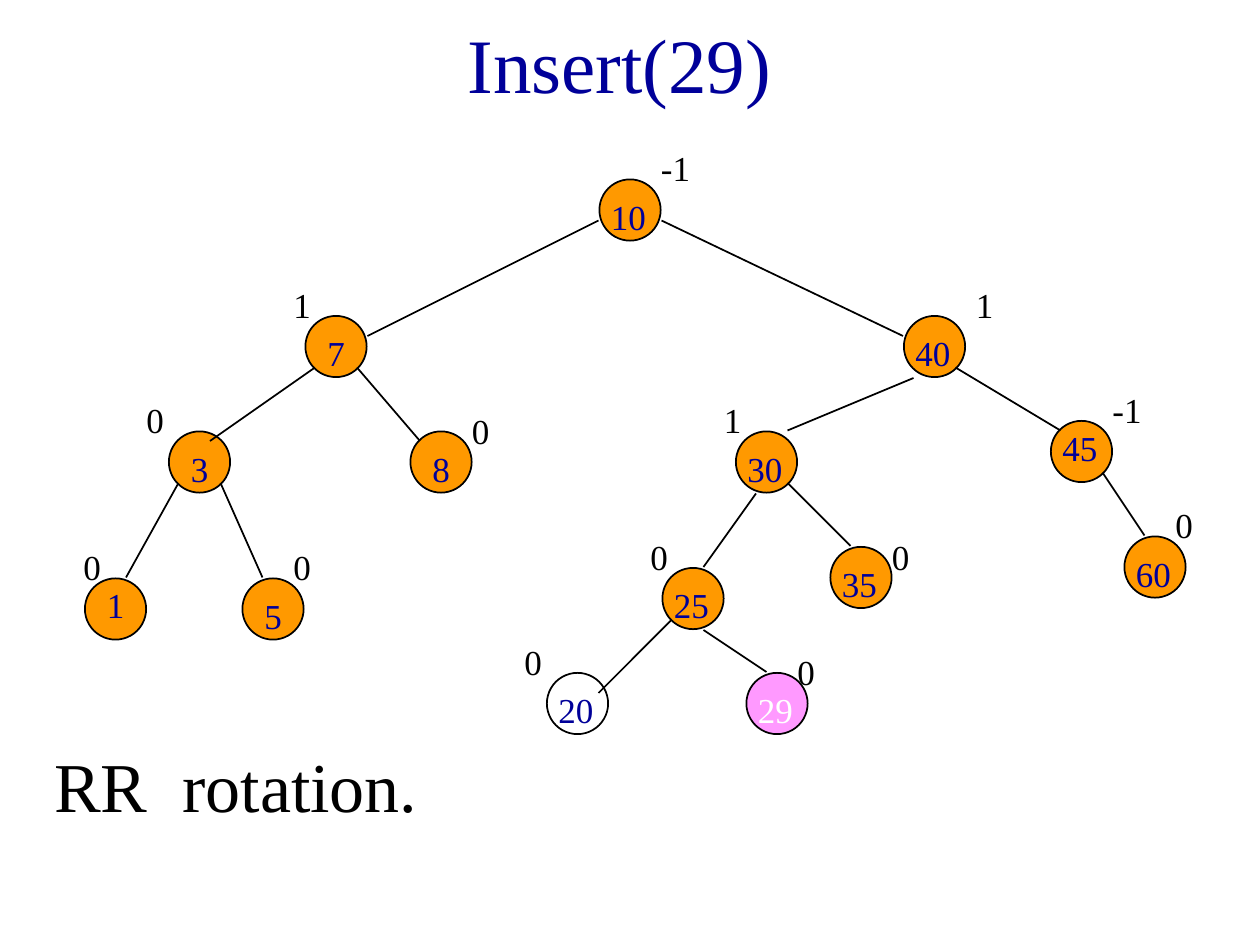
from lxml import etree
from pptx import Presentation
from pptx.dml.color import RGBColor
from pptx.enum import shapes, text
from pptx.oxml.ns import qn
from pptx.util import Pt

FONT = "Times New Roman"
NAVY, BLACK, WHITE = "000099", "000000", "FFFFFF"
ORANGE, PINK = "FF9900", "FF99FF"
STEP = 6
DIAMETER = 35

# key: column, row, balance factor, factor offset in steps, label drop in steps
NODES = {
    "10": (49, 0, "-1", (5, -4), 1),
    "7": (21, 13, "1", (-2, -4), 1),
    "40": (78, 13, "1", (6, -4), 1),
    "3": (8, 24, "0", (-3, -4), 1),
    "8": (31, 24, "0", (5, -3), 1),
    "30": (62, 24, "1", (-2, -4), 1),
    "45": (92, 23, "-1", (5, -4), 0),
    "1": (0, 38, "0", (-1, -4), 0),
    "5": (15, 38, "0", (4, -4), 1),
    "25": (55, 37, "0", (-2, -4), 1),
    "35": (71, 35, "0", (5, -2), 1),
    "60": (99, 34, "0", (4, -4), 1),
    "20": (44, 47, "0", (-3, -4), 1),
    "29": (63, 47, "0", (4, -3), 1),
}
NODE_FILLS = {"20": WHITE, "29": PINK}
NODE_TEXT = {"29": WHITE}

EDGES = [
    (49, 4, 27, 15), (55, 4, 78, 15),
    (22, 18, 12, 25), (26, 18, 32, 25),
    (79, 19, 67, 24), (83, 18, 93, 24),
    (9, 29, 4, 38), (13, 29, 17, 38),
    (64, 30, 59, 37), (67, 29, 73, 35),
    (97, 28, 101, 34),
    (56, 42, 49, 49), (59, 43, 65, 47),
]


def color(value):
    return RGBColor.from_string(value)


def write(frame, words, size=20, fill=BLACK, wrap=True,
          align=text.PP_ALIGN.LEFT, anchor=text.MSO_ANCHOR.TOP):
    frame.word_wrap = wrap
    frame.auto_size = text.MSO_AUTO_SIZE.NONE
    frame.vertical_anchor = anchor
    paragraph = frame.paragraphs[0]
    paragraph.alignment = align
    run = paragraph.add_run()
    run.text = words
    run.font.name = FONT
    run.font.size = Pt(size)
    run.font.color.rgb = color(fill)


def add_text(slide, box, words, **style):
    shape = slide.shapes.add_textbox(*map(Pt, box))
    write(shape.text_frame, words, **style)


def add_title(slide, box, words):
    title = slide.shapes.title
    title.left, title.top, title.width, title.height = map(Pt, box)
    write(title.text_frame, words, size=44, fill=NAVY,
          align=text.PP_ALIGN.CENTER, anchor=text.MSO_ANCHOR.MIDDLE)


def add_circle(slide, left, top, fill):
    circle = slide.shapes.add_shape(
        shapes.MSO_SHAPE.OVAL, Pt(left), Pt(top), Pt(DIAMETER), Pt(DIAMETER))
    circle.shadow.inherit = False
    circle.fill.solid()
    circle.fill.fore_color.rgb = color(fill)
    circle.line.color.rgb = color(BLACK)
    circle.line.width = Pt(1)


def add_edge(slide, *ends):
    edge = slide.shapes.add_connector(
        shapes.MSO_CONNECTOR.STRAIGHT, *map(Pt, ends))
    edge.line.color.rgb = color(BLACK)
    edge.line.width = Pt(1)
    etree.SubElement(edge._element.spPr, qn("a:effectLst"))


def add_tree(slide, left, top):
    def place(column, row):
        return left + column * STEP, top + row * STEP

    for key, (column, row, *_) in NODES.items():
        x, y = place(column, row)
        add_circle(slide, x + 0.5, y + 0.5, NODE_FILLS.get(key, ORANGE))
    for x1, y1, x2, y2 in EDGES:
        add_edge(slide, *place(x1, y1), *place(x2, y2))
    for key, (column, row, factor, (across, down), drop) in NODES.items():
        indent = 1 if len(key) == 1 else 0
        x, y = place(column + indent, row + drop)
        add_text(slide, (x, y, 36, 31), key, fill=NODE_TEXT.get(key, NAVY))
        x, y = place(column + across, row + down)
        width = 31 if len(factor) == 2 else 24.5
        add_text(slide, (x - 1.4, y + 2.4, width, 31), factor, wrap=False)


def main():
    presentation = Presentation()
    presentation.slide_width, presentation.slide_height = Pt(720), Pt(540)
    slide = presentation.slides.add_slide(presentation.slide_layouts[5])
    add_title(slide, (48, 0, 612, 72), "Insert(29)")
    add_tree(slide, 48, 102)
    add_text(slide, (24, 420.5, 390, 55.5), "RR  rotation.", size=40)
    presentation.save("out.pptx")


if __name__ == "__main__":
    main()
